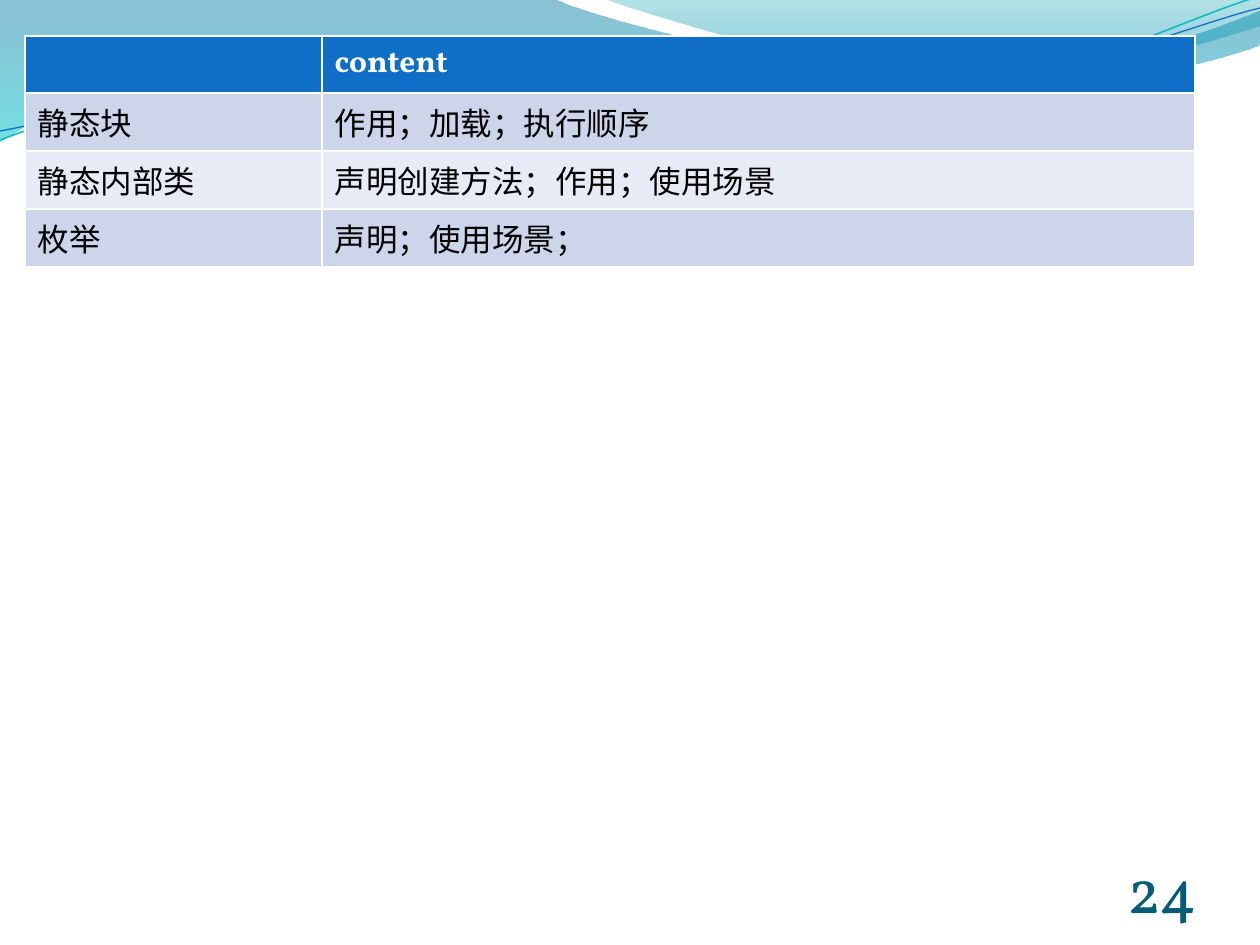
from lxml import etree
from pptx import Presentation
from pptx import util as u
from pptx.dml.color import RGBColor
from pptx.enum import text
from pptx.oxml.ns import qn

PX = 914400 / 126
COLORS = {
    "white": "FFFFFF", "black": "000000", "header": "0F6FC6",
    "odd": "CCD5EA", "even": "E7EBF5", "number": "045D75",
    "teal": "0AB8BF", "deep": "0074A1", "aqua": "00C6CF",
    "sea": "00A1A9", "sky": "008BBF",
}
FONT = "Vollkorn"


def px(value):
    return u.Emu(round(value * PX))


def add_wave(slide, start, segments, close):
    builder = slide.shapes.build_freeform(px(start[0]), px(start[1]))
    builder.add_line_segments([(px(s[-2]), px(s[-1])) for s in segments], close=close)
    shape = builder.convert_to_shape()
    shape.shadow.inherit = False
    for line, segment in zip(shape.element.xpath(".//a:lnTo"), segments):
        if len(segment) == 6:
            curve = etree.Element(qn("a:cubicBezTo"))
            for x, y in zip(segment[::2], segment[1::2]):
                etree.SubElement(curve, qn("a:pt"),
                                 x=str(px(x) - shape.left), y=str(px(y) - shape.top))
            line.getparent().replace(line, curve)
    return shape


presentation = Presentation()
presentation.slide_width = px(1260)
presentation.slide_height = px(945)
slide = presentation.slides.add_slide(presentation.slide_layouts[6])

bands = [
    ((0, 0),
     [(554, -1), (600, 21, 837, 79, 955, 79), (1074, 79, 1207, 33, 1260, 11),
      (1261, 45), (1238, 55, 1096, 96, 940, 95), (784, 95, 481, 35, 324, 43),
      (161, 45, 58, 105, -1, 142)],
     [(0, "deep", 45), (1, "aqua", 55)]),
    ((604, -1),
     [(641, 14, 859, 78, 969, 82), (1079, 86, 1211, 40, 1260, 26), (1260, 0)],
     [(0, "sea", 30), (0.8, "sky", 45)]),
]
for start, segments, stops in bands:
    shape = add_wave(slide, start, segments, True)
    shape.line.fill.background()
    shape.fill.gradient()
    shape.fill.gradient_angle = 270
    for stop, (position, color, _) in zip(shape.fill.gradient_stops, stops):
        stop.position = position
        stop.color.rgb = RGBColor.from_string(COLORS[color])
    for element, (_, _, opacity) in zip(shape.element.xpath(".//a:gs/a:srgbClr"), stops):
        for child in list(element):
            element.remove(child)
        etree.SubElement(element, qn("a:alpha"), val=str(opacity * 1000))

strands = [
    ((0, 140),
     [(60, 117, 199, 72, 349, 66), (498, 59, 747, 112, 898, 101),
      (1050, 89, 1182, 19, 1257, -3)], "teal", 0.85),
    ((0, 131),
     [(59, 121, 207, 77, 357, 71), (508, 64, 752, 106, 903, 95),
      (1053, 84, 1187, 26, 1260, 8)], "header", 0.75),
]
for start, segments, color, width in strands:
    shape = add_wave(slide, start, segments, False)
    shape.fill.background()
    shape.line.color.rgb = RGBColor.from_string(COLORS[color])
    shape.line.width = u.Pt(width)

number = slide.shapes.add_textbox(px(1092), px(876), px(105), px(50))
frame = number.text_frame
frame.word_wrap = True
frame.vertical_anchor = text.MSO_ANCHOR.BOTTOM
frame.margin_left = frame.margin_right = frame.margin_top = frame.margin_bottom = 0
paragraph = frame.paragraphs[0]
paragraph.text = "24"
paragraph.alignment = text.PP_ALIGN.RIGHT
paragraph.font.size = u.Pt(36)
paragraph.font.name = FONT
paragraph.font.color.rgb = RGBColor.from_string(COLORS["number"])

rows = [
    ("", "content"),
    ("静态块", "作用；加载；执行顺序"),
    ("静态内部类", "声明创建方法；作用；使用场景"),
    ("枚举", "声明；使用场景；"),
]
table = slide.shapes.add_table(len(rows), 2, px(25), px(36), px(1170), px(231)).table
for column, width in zip(table.columns, (297, 873)):
    column.width = px(width)
for row_index, row in enumerate(rows):
    is_header = row_index == 0
    table.rows[row_index].height = px(57 if is_header else 58)
    fill = "header" if is_header else "odd" if row_index % 2 else "even"
    for cell, content in zip(table.rows[row_index].cells, row):
        cell.fill.solid()
        cell.fill.fore_color.rgb = RGBColor.from_string(COLORS[fill])
        paragraph = cell.text_frame.paragraphs[0]
        paragraph.text = content
        paragraph.font.size = u.Pt(18)
        paragraph.font.name = FONT
        paragraph.font.bold = is_header
        paragraph.font.color.rgb = RGBColor.from_string(
            COLORS["white" if is_header else "black"])

presentation.save("out.pptx")
